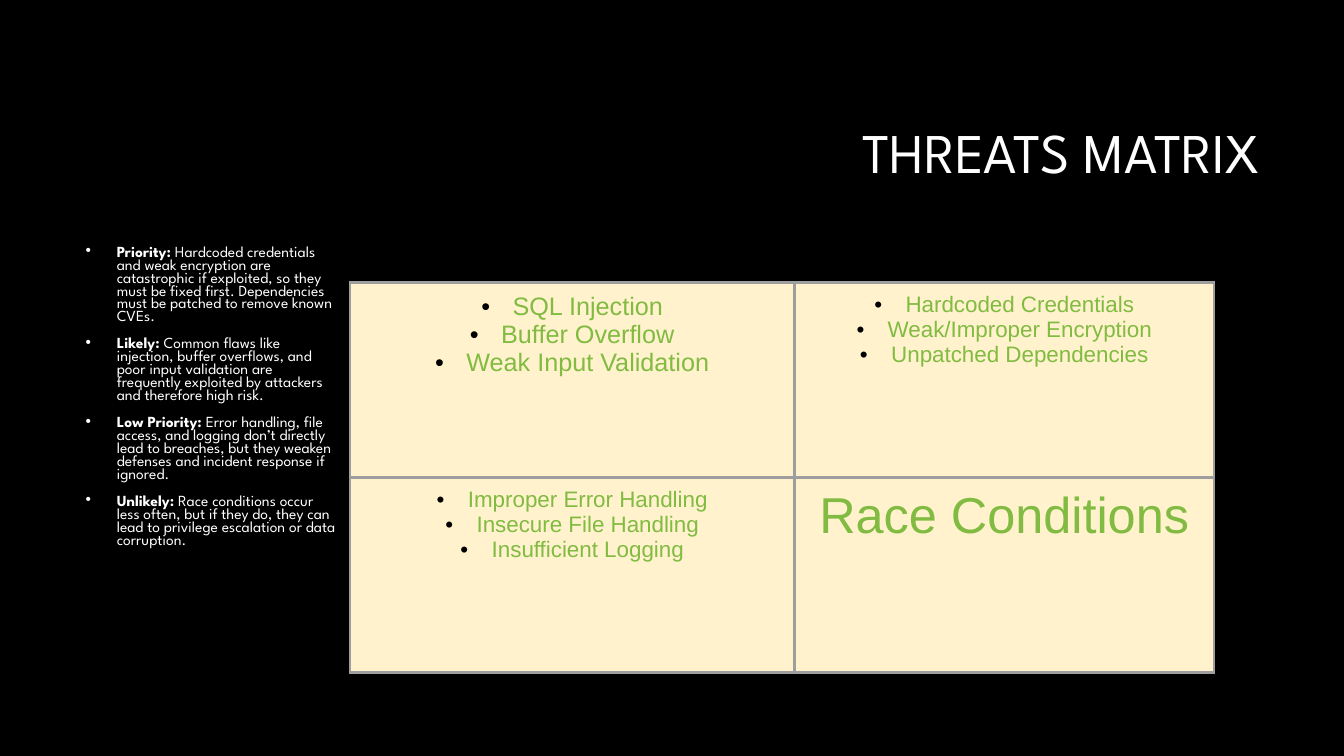
from dataclasses import dataclass

import lxml.etree
import pptx
import pptx.dml.color
import pptx.enum.text
import pptx.oxml
import pptx.oxml.ns
import pptx.util

Inches = pptx.util.Inches
Align = pptx.enum.text.PP_ALIGN

COLORS = {
    "background": "000000",
    "text": "FFFFFF",
    "cell": "FFF2CC",
    "threat": "81BB42",
    "cell_bullet": "000000",
    "border": "9E9E9E",
}
HEADING_FONT = "League Spartan"
CELL_FONT = "Arial"
INDENT = Inches(0.31)
BORDER_POINTS = 2.25


@dataclass(frozen=True)
class Note:
    label: str
    body: str


@dataclass(frozen=True)
class Quadrant:
    row: int
    column: int
    size: int
    threats: tuple[str, ...]
    bulleted: bool = True


NOTES = (
    Note("Priority:", " Hardcoded credentials and weak encryption are catastrophic if exploited, "
         "so they must be fixed first. Dependencies must be patched to remove known CVEs."),
    Note("Likely:", " Common flaws like injection, buffer overflows, and poor input validation are "
         "frequently exploited by attackers and therefore high risk."),
    Note("Low Priority:", " Error handling, file access, and logging don’t directly lead to breaches, "
         "but they weaken defenses and incident response if ignored."),
    Note("Unlikely:", " Race conditions occur less often, but if they do, they can lead to privilege "
         "escalation or data corruption."),
)
QUADRANTS = (
    Quadrant(0, 0, 18, ("SQL Injection", "Buffer Overflow", "Weak Input Validation")),
    Quadrant(0, 1, 16, ("Hardcoded Credentials", "Weak/Improper Encryption",
                        "Unpatched Dependencies")),
    Quadrant(1, 0, 16, ("Improper Error Handling", "Insecure File Handling",
                        "Insufficient Logging")),
    Quadrant(1, 1, 36, ("Race Conditions",), bulleted=False),
)


def rgb(name: str) -> pptx.dml.color.RGBColor:
    return pptx.dml.color.RGBColor.from_string(COLORS[name])


def add_child(parent, tag: str, **attributes: str):
    child = lxml.etree.SubElement(parent, pptx.oxml.ns.qn(tag))
    for key, value in attributes.items():
        child.set(key, value)
    return child


def add_text(paragraph, text: str, *, size: float, font: str, color: str,
             bold: bool = False) -> None:
    run = paragraph.add_run()
    run.text = text
    run.font.size = pptx.util.Pt(size)
    run.font.name = font
    run.font.bold = bold
    run.font.color.rgb = rgb(color)


def add_bullet(paragraph, color: str) -> None:
    """Give the paragraph a hanging bullet; call after its spacing is set."""
    properties = paragraph._p.get_or_add_pPr()
    properties.set("marL", str(INDENT))
    properties.set("indent", str(-INDENT))
    add_child(add_child(properties, "a:buClr"), "a:srgbClr", val=COLORS[color])
    add_child(properties, "a:buFont", typeface="Arial")
    add_child(properties, "a:buChar", char="•")


def next_paragraph(frame, index: int):
    return frame.paragraphs[0] if index == 0 else frame.add_paragraph()


def add_text_frame(slide, left: float, top: float, width: float, height: float):
    box = slide.shapes.add_textbox(Inches(left), Inches(top), Inches(width), Inches(height))
    box.text_frame.word_wrap = True
    return box.text_frame


def add_title(slide) -> None:
    frame = add_text_frame(slide, 3.17, 0.84, 9.42, 1.41)
    frame.vertical_anchor = pptx.enum.text.MSO_ANCHOR.MIDDLE
    paragraph = frame.paragraphs[0]
    paragraph.alignment = Align.RIGHT
    paragraph.line_spacing = 0.9
    add_text(paragraph, "THREATS MATRIX", size=40, font=HEADING_FONT, color="text")


def add_notes_column(slide) -> None:
    frame = add_text_frame(slide, 0.75, 2.4, 2.72, 4.4)
    for index, note in enumerate(NOTES):
        paragraph = next_paragraph(frame, index)
        paragraph.line_spacing = 0.7
        paragraph.space_before = pptx.util.Pt(10)
        add_bullet(paragraph, "text")
        for text, bold in ((note.label, True), (note.body, False)):
            add_text(paragraph, text, size=11, font=HEADING_FONT, color="text", bold=bold)


def style_cell(cell) -> None:
    """Set margins, then borders, then fill, in the order the schema needs."""
    cell.margin_left = cell.margin_right = cell.margin_top = cell.margin_bottom = Inches(0.1)
    properties = cell._tc.get_or_add_tcPr()
    for side in ("a:lnL", "a:lnR", "a:lnT", "a:lnB"):
        line = add_child(properties, side, w=str(pptx.util.Pt(BORDER_POINTS)))
        add_child(add_child(line, "a:solidFill"), "a:srgbClr", val=COLORS["border"])
    cell.fill.solid()
    cell.fill.fore_color.rgb = rgb("cell")


def add_matrix(slide) -> None:
    table = slide.shapes.add_table(
        2, 2, Inches(3.47), Inches(2.8), Inches(8.57), Inches(3.87)).table
    table.first_row = table.horz_banding = False
    for column, width in zip(table.columns, (4.41, 4.16)):
        column.width = Inches(width)
    for quadrant in QUADRANTS:
        cell = table.cell(quadrant.row, quadrant.column)
        style_cell(cell)
        for index, threat in enumerate(quadrant.threats):
            paragraph = next_paragraph(cell.text_frame, index)
            paragraph.alignment = Align.CENTER
            if quadrant.bulleted:
                add_bullet(paragraph, "cell_bullet")
            add_text(paragraph, threat, size=quadrant.size, font=CELL_FONT, color="threat")


def main() -> None:
    presentation = pptx.Presentation()
    presentation.slide_width = Inches(13.33)
    presentation.slide_height = Inches(7.5)
    slide = presentation.slides.add_slide(presentation.slide_layouts[6])
    slide.background.fill.solid()
    slide.background.fill.fore_color.rgb = rgb("background")
    add_title(slide)
    add_notes_column(slide)
    add_matrix(slide)
    presentation.save("out.pptx")


if __name__ == "__main__":
    main()
